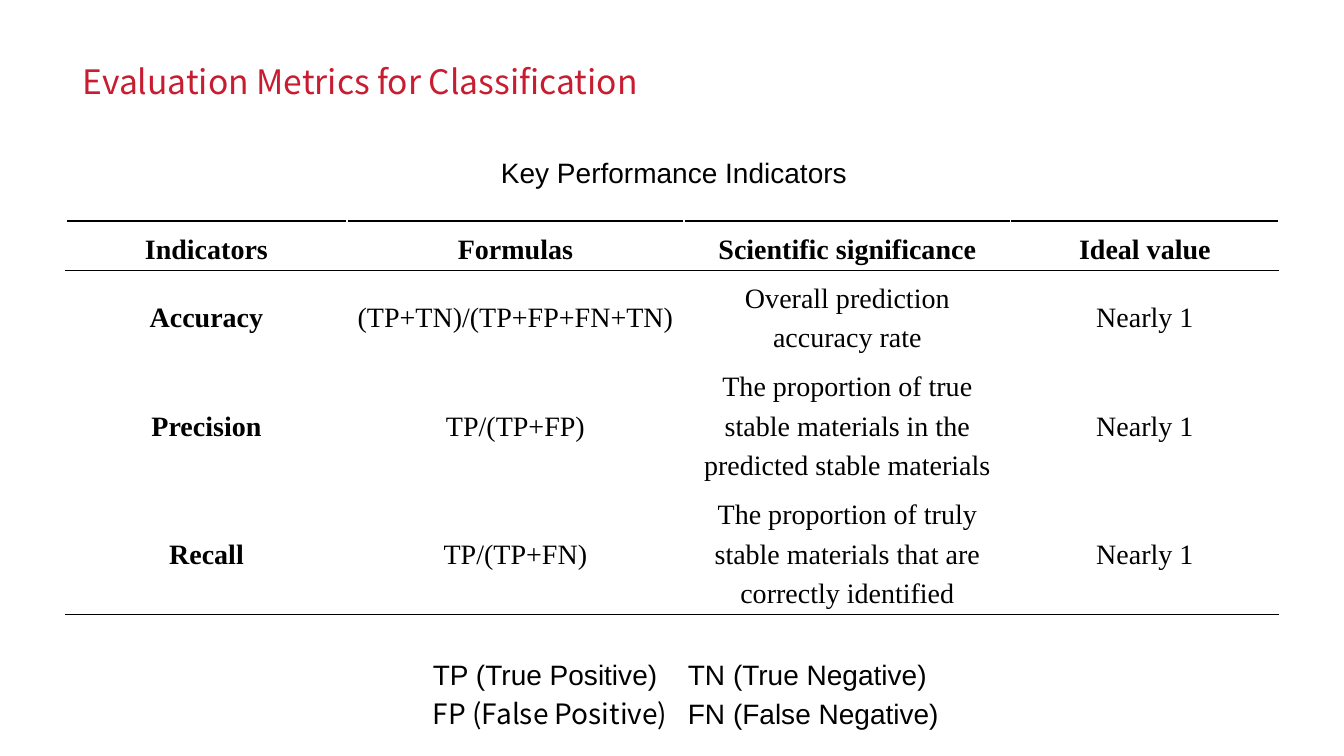
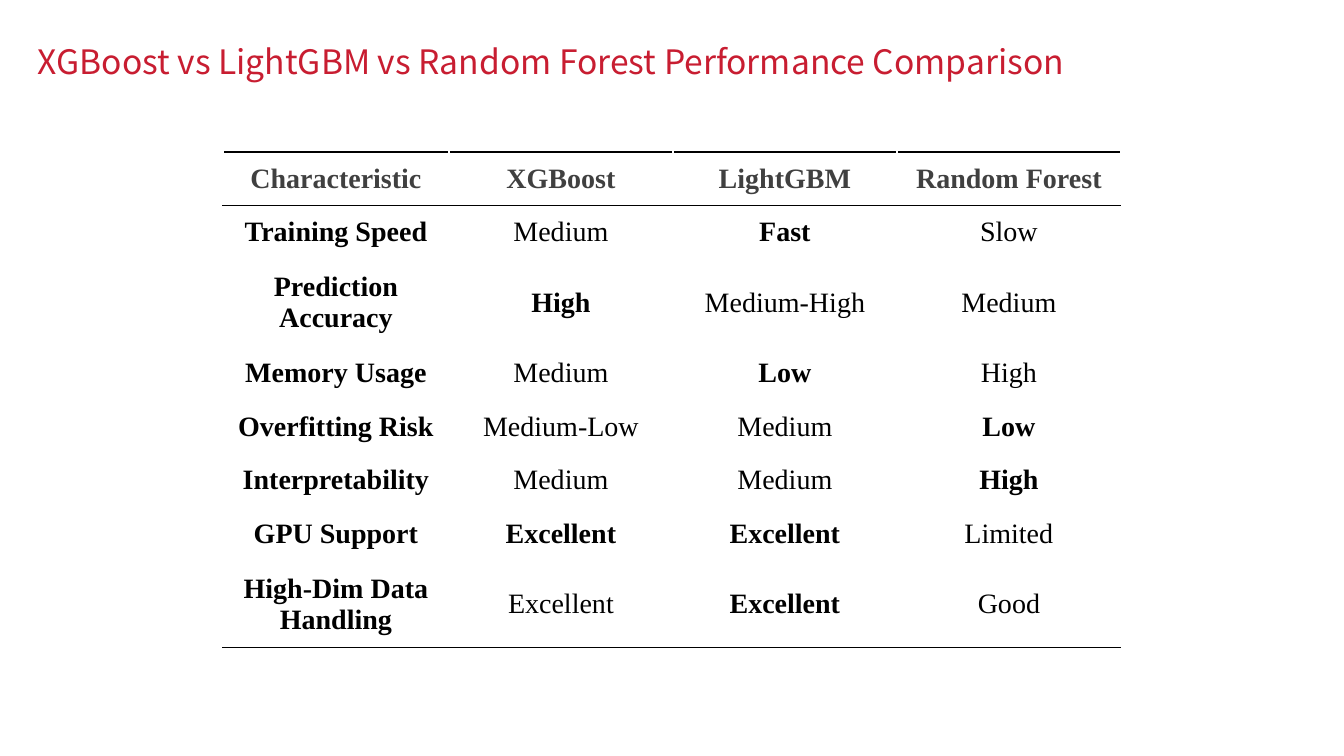
import pptx
import pptx.util
import pptx.dml.color
import pptx.enum.text
import pptx.oxml.ns
from lxml import etree

# Shared style
PX = 12192000 / 1344
SLIDE_SIZE = (1344, 756)
RED, BLACK, GREY, WHITE = "C81D31", "000000", "404040", "FFFFFF"
SANS, ARIAL, SERIF = "Noto Sans CJK SC", "Arial", "Times New Roman"
CENTER = pptx.enum.text.PP_ALIGN.CENTER

# Slide 1 content: rows of (name, other cells, bold columns)
METRICS_TITLE = "Evaluation Metrics for Classification"
METRICS_CAPTION = "Key Performance Indicators"
METRICS = [
    ("Indicators", ["Formulas", "Scientific significance", "Ideal value"], {1, 2, 3}),
    ("Accuracy", ["(TP+TN)/(TP+FP+FN+TN)", "Overall prediction accuracy rate", "Nearly 1"], set()),
    ("Precision", ["TP/(TP+FP)", "The proportion of true stable materials in the predicted stable materials",
                   "Nearly 1"], set()),
    ("Recall", ["TP/(TP+FN)", "The proportion of truly stable materials that are correctly identified",
                "Nearly 1"], set()),
]
ABBREVIATIONS = [
    [("TP (True Positive)\tTN (True Negative)", ARIAL)],
    [("FP (False Positive)\t", SANS), ("FN (False Negative)", ARIAL)],
]

# Slide 2 content, same row form
MODELS_TITLE = "XGBoost vs LightGBM vs Random Forest Performance Comparison"
MODELS = [
    ("Characteristic", ["XGBoost", "LightGBM", "Random Forest"], {1, 2, 3}),
    ("Training Speed", ["Medium", "Fast", "Slow"], {2}),
    ("Prediction Accuracy", ["High", "Medium-High", "Medium"], {1}),
    ("Memory Usage", ["Medium", "Low", "High"], {2}),
    ("Overfitting Risk", ["Medium-Low", "Medium", "Low"], {3}),
    ("Interpretability", ["Medium", "Medium", "High"], {3}),
    ("GPU Support", ["Excellent", "Excellent", "Limited"], {1, 2}),
    ("High-Dim Data Handling", ["Excellent", "Excellent", "Good"], {2}),
]


def px(length):
    return pptx.util.Emu(round(length * PX))


def color(value):
    return pptx.dml.color.RGBColor.from_string(value)


def write(frame, text, size=20, font=ARIAL, ink=BLACK, bold=False, align=None, spacing=None, tab=None):
    """Fill a frame with a string, or with paragraphs of (text, font) runs."""
    paragraphs = [[(text, font)]] if isinstance(text, str) else text
    for index, runs in enumerate(paragraphs):
        paragraph = frame.add_paragraph() if index else frame.paragraphs[0]
        if tab:
            stops = etree.SubElement(paragraph._p.get_or_add_pPr(), pptx.oxml.ns.qn("a:tabLst"))
            etree.SubElement(stops, pptx.oxml.ns.qn("a:tab"), pos=str(px(tab)), algn="l")
        if align is not None:
            paragraph.alignment = align
        if spacing:
            paragraph.line_spacing = pptx.util.Pt(spacing)
        for words, face in runs:
            run = paragraph.add_run()
            run.text = words
            run.font.name = face
            run.font.size = pptx.util.Pt(size)
            run.font.bold = bold
            run.font.color.rgb = color(ink)


def add_text(slide, box, text, **style):
    frame = slide.shapes.add_textbox(*map(px, box)).text_frame
    frame.word_wrap = True
    frame.auto_size = pptx.enum.text.MSO_AUTO_SIZE.SHAPE_TO_FIT_TEXT
    write(frame, text, **style)


def add_title(slide, box, text):
    add_text(slide, box, text, size=24, font=SANS, ink=RED)


def set_borders(cell, **sides):
    properties = cell._tc.get_or_add_tcPr()
    for side in "LRTB":
        line = etree.SubElement(properties, pptx.oxml.ns.qn("a:ln" + side), w=str(pptx.util.Pt(1)))
        fill = etree.SubElement(line, pptx.oxml.ns.qn("a:solidFill"))
        etree.SubElement(fill, pptx.oxml.ns.qn("a:srgbClr"), val=sides.get(side, WHITE))


def add_ruled_table(slide, corner, rows, widths, heights, header_ink=BLACK, inset=5, spacing=None):
    """Table with black rules above and below the header and below the last row."""
    size = (sum(widths), sum(heights))
    table = slide.shapes.add_table(len(rows), len(widths), *map(px, corner + size)).table
    table.first_row = table.horz_banding = False
    for column, width in zip(table.columns, widths):
        column.width = px(width)
    for r, (name, values, bold_columns) in enumerate(rows):
        table.rows[r].height = px(heights[r])
        above = BLACK if r < 2 else WHITE
        below = BLACK if r in (0, len(rows) - 1) else WHITE
        for c, text in enumerate([name] + values):
            cell = table.cell(r, c)
            set_borders(cell, T=above, B=below)
            cell.fill.background()
            cell.vertical_anchor = pptx.enum.text.MSO_ANCHOR.MIDDLE
            cell.margin_left = cell.margin_right = px(10)
            cell.margin_top = cell.margin_bottom = px(inset)
            write(cell.text_frame, text, font=SERIF, align=CENTER, spacing=spacing,
                  bold=c == 0 or c in bold_columns, ink=BLACK if r else header_ink)


def main():
    deck = pptx.Presentation()
    deck.slide_width, deck.slide_height = map(px, SLIDE_SIZE)
    metrics, models = [deck.slides.add_slide(deck.slide_layouts[6]) for _ in range(2)]

    # Slide 1: classification metrics
    add_title(metrics, (73, 56, 783, 50), METRICS_TITLE)
    add_ruled_table(metrics, (66, 221), METRICS, (281, 337, 327, 268), (49, 88, 128, 128), spacing=28)
    add_text(metrics, (491, 151, 495, 44), METRICS_CAPTION)
    add_text(metrics, (423, 647, 529, 89), ABBREVIATIONS, spacing=28, tab=255)

    # Slide 2: model comparison
    add_ruled_table(models, (223, 152), MODELS, (226, 224, 224, 224),
                    [83 if name in ("Prediction Accuracy", "High-Dim Data Handling") else 52
                     for name, _, _ in MODELS], header_ink=GREY, inset=10)
    add_title(models, (28, 36, 1267, 50), MODELS_TITLE)

    deck.save("out.pptx")


if __name__ == "__main__":
    main()
